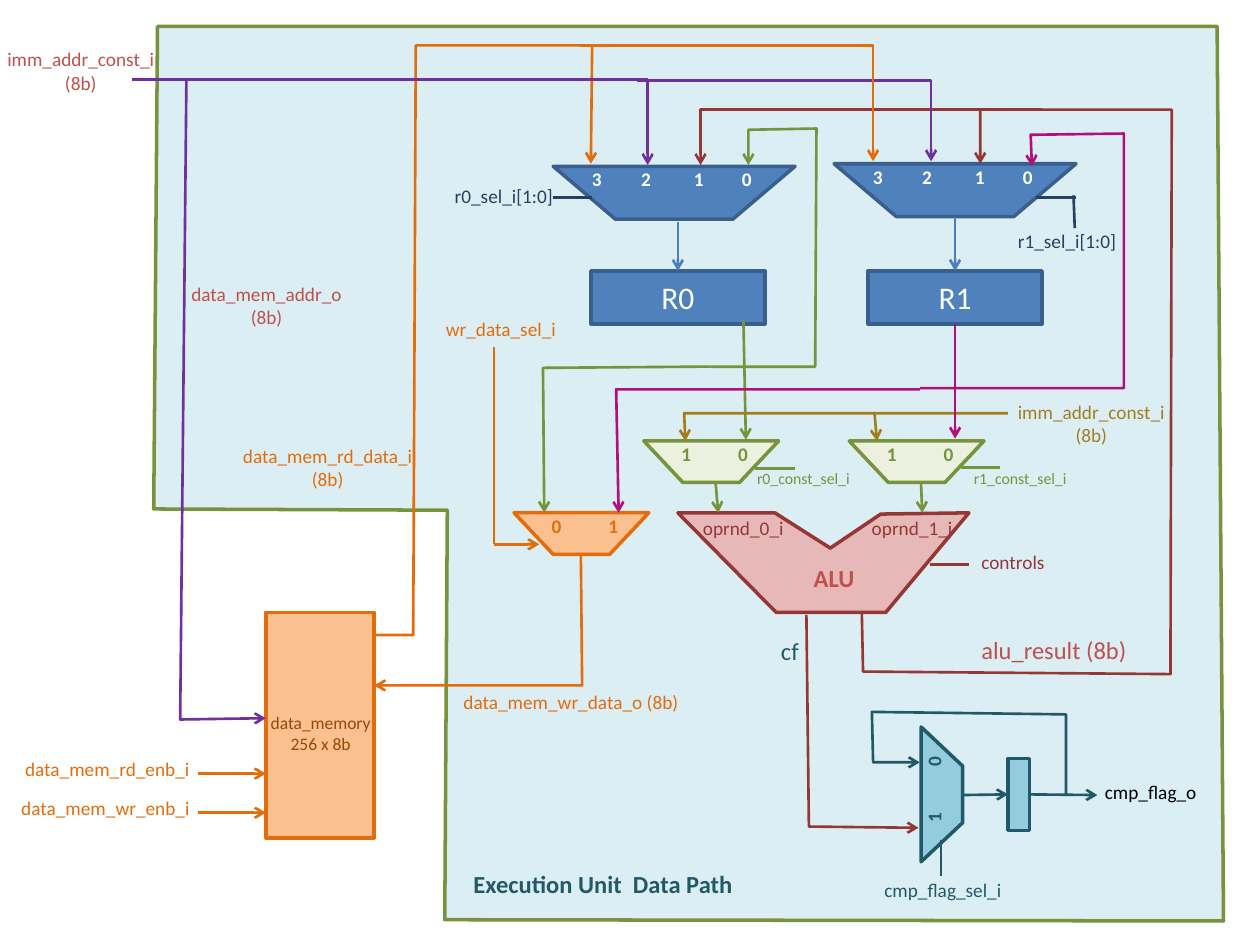
"""Build the execution unit data path slide."""
from dataclasses import dataclass
from lxml.etree import SubElement
from pptx import Presentation
from pptx.dml.color import RGBColor
from pptx.enum.shapes import MSO_CONNECTOR, MSO_SHAPE
from pptx.enum.text import MSO_ANCHOR, MSO_AUTO_SIZE, PP_ALIGN
from pptx.oxml.ns import qn
from pptx.util import Pt

PX = 9144


@dataclass(frozen=True)
class Theme:
    font: str = "Calibri"
    small: int = 9
    note: int = 10
    body: int = 11
    title: int = 14
    register: int = 18
    outline: float = 2
    wire: float = 1.5
    white: str = "FFFFFF"
    black: str = "000000"
    sky: str = "DBEEF4"
    blue: str = "4F81BD"
    blue_edge: str = "3A5F8C"
    blue_wire: str = "4B7EBC"
    navy: str = "254061"
    green: str = "77933C"
    pale_green: str = "EBF1DE"
    orange: str = "E46C0A"
    pale_orange: str = "FAC090"
    brown: str = "984807"
    red: str = "C0504D"
    dark_red: str = "953735"
    pink: str = "E6B9B8"
    magenta: str = "B40E79"
    purple: str = "7030A0"
    gold: str = "A47E1E"
    teal: str = "215968"
    aqua: str = "93CDDD"


T = Theme()

OUTLINES = [
    (T.sky, T.green, [(182, 21), (966, 21), (971, 731), (353, 730), (355, 405), (122, 404), (125, 21)]),
    (T.pink, T.dark_red, [(538, 407), (615, 407), (659, 435), (699, 408), (769, 407), (703, 486), (616, 486)]),
]
BLOCKS = {
    "R0": ((469, 215, 138, 42), T.blue, T.blue_edge, "R0"),
    "R1": ((689, 215, 138, 42), T.blue, T.blue_edge, "R1"),
    "memory": ((211, 486, 86, 179), T.pale_orange, T.orange, ""),
    "flag": ((800, 602, 17, 57), T.aqua, T.teal, ""),
}
WIDE = dict(size=(192, 42), adj=1.178, text_at=(21, -4), text_w=150, tabs=(39, 81, 119))
NARROW = dict(size=(107, 33), adj=0.941, text_at=(20, -4), text_w=75, tabs=(45,))
MUXES = [
    (WIDE, (439, 132), "3210", T.blue, T.blue_edge, T.white, 0),
    (WIDE, (662, 130), "3210", T.blue, T.blue_edge, T.white, 0),
    (NARROW, (408, 407), "01", T.pale_orange, T.orange, T.orange, 0),
    (NARROW, (511, 350), "10", T.pale_green, T.green, T.green, 0),
    (NARROW, (674, 350), "10", T.pale_green, T.green, T.green, 0),
    (NARROW, (694, 614), "10", T.aqua, T.teal, T.teal, 270),
]
ARROWS = [
    (T.green, [(590, 254), (592, 349)]),
    (T.dark_red, [(827, 87), (556, 87), (556, 131)]),
    (T.purple, [(506, 64), (739, 64), (739, 128)]),
    (T.orange, [(460, 36), (693, 36), (693, 128)]),
    (T.dark_red, [(684, 486), (685, 533), (929, 535), (930, 87), (778, 87), (778, 130)]),
    (T.green, [(564, 291), (647, 291), (648, 102), (594, 103), (594, 131)]),
    (T.magenta, [(730, 308), (892, 308), (892, 106), (818, 107), (819, 132)]),
    (T.orange, [(157, 614), (211, 614)]),
    (T.orange, [(157, 645), (211, 645)]),
    (T.orange, [(297, 504), (328, 504), (330, 36), (470, 36), (469, 130)]),
    (T.green, [(564, 291), (431, 292), (432, 407)]),
    (T.magenta, [(730, 309), (489, 309), (491, 407)]),
    (T.orange, [(461, 440), (462, 544), (297, 544)]),
    (T.teal, [(846, 630), (846, 567), (692, 565), (693, 605), (730, 605)]),
    (T.dark_red, [(640, 488), (642, 656), (729, 657)]),
    (T.purple, [(105, 63), (514, 63), (514, 131)]),
    (T.purple, [(148, 62), (143, 571), (211, 570)]),
    (T.orange, [(392, 432), (428, 432)]),
    (T.green, [(568, 384), (570, 407)]),
    (T.green, [(731, 384), (732, 407)]),
    (T.gold, [(800, 328), (543, 328), (544, 350)]),
    (T.gold, [(694, 327), (696, 350)]),
]
JOINED_ARROWS = [
    (T.blue_wire, [(538, 176), (538, 215)], None, ("R0", 0)),
    (T.blue_wire, [(758, 172), (758, 215)], None, ("R1", 0)),
    (T.magenta, [(758, 257), (758, 348)], ("R1", 2), None),
    (T.teal, [(764, 631), (800, 631)], None, ("flag", 1)),
    (T.teal, [(817, 631), (871, 631)], ("flag", 3), None),
]
STUBS = [
    (T.orange, [(392, 432), (392, 275)]),
    (T.teal, [(747, 667), (747, 695)]),
    (T.navy, [(470, 157), (439, 157)]),
    (T.navy, [(854, 157), (822, 157)]),
    (T.navy, [(852, 155), (853, 181)]),
    (T.dark_red, [(769, 448), (738, 448)]),
    (T.green, [(631, 372), (599, 372)]),
    (T.green, [(794, 371), (763, 371)]),
]
LABELS = [
    (["data_memory", "256 x 8b"], (205, 560, 101, 44), T.note, T.brown, False),
    (["cmp_flag_o"], (867, 614, 93, 29), T.body, T.black, False),
    (["alu_result (8b)"], (769, 499, 137, 34), T.title, T.red, False),
    (["data_mem_rd_data_i", "(8b)"], (183, 348, 160, 47), T.body, T.orange, False),
    (["data_mem_rd_enb_i"], (10, 596, 152, 29), T.body, T.orange, False),
    (["data_mem_wr_enb_i"], (7, 627, 155, 29), T.body, T.orange, False),
    (["data_mem_wr_data_o (8b)"], (358, 543, 193, 29), T.body, T.orange, False),
    (["cf"], (610, 500, 34, 34), T.title, T.teal, False),
    (["Execution Unit  Data Path"], (366, 685, 227, 34), T.title, T.teal, True),
    (["imm_addr_const_i", "(8b)"], (-4, 33, 137, 47), T.body, T.red, False),
    (["data_mem_addr_o", "(8b)"], (142, 219, 147, 47), T.body, T.red, False),
    (["ALU"], (636, 442, 53, 34), T.title, T.red, True),
    (["wr_data_sel_i"], (344, 247, 108, 29), T.body, T.orange, False),
    (["cmp_flag_sel_i"], (692, 692, 114, 29), T.body, T.teal, False),
    (["r0_sel_i[1:0]"], (351, 141, 99, 29), T.body, T.navy, False),
    (["r1_sel_i[1:0]"], (798, 177, 99, 29), T.body, T.navy, False),
    (["controls"], (769, 432, 71, 29), T.body, T.dark_red, False),
    (["imm_addr_const_i", "(8b)"], (798, 313, 137, 47), T.body, T.gold, False),
    (["r0_const_sel_i"], (591, 367, 95, 25), T.small, T.green, False),
    (["r1_const_sel_i"], (763, 367, 95, 25), T.small, T.green, False),
    (["oprnd_0_i"], (548, 405, 85, 29), T.body, T.dark_red, False),
    (["oprnd_1_i"], (682, 405, 85, 29), T.body, T.dark_red, False),
]


def emu(values):
    return [round(v * PX) for v in values]


def style(s, fill, edge, width=T.outline):
    s.shadow.inherit = False
    if fill:
        s.fill.solid()
        s.fill.fore_color.rgb = RGBColor.from_string(fill)
    else:
        s.fill.background()
    s.line.color.rgb = RGBColor.from_string(edge)
    s.line.width = Pt(width)


def add_run(p, text, size, color, bold=False):
    r = p.add_run()
    r.text = text
    r.font.name, r.font.size, r.font.bold = T.font, Pt(size), bold
    r.font.color.rgb = RGBColor.from_string(color)


def add_label(shapes, lines, box, size, color, bold):
    s = shapes.add_textbox(*emu(box))
    tf = s.text_frame
    tf.word_wrap, tf.auto_size = False, MSO_AUTO_SIZE.SHAPE_TO_FIT_TEXT
    for i, line in enumerate(lines):
        p = tf.add_paragraph() if i else tf.paragraphs[0]
        p.alignment = PP_ALIGN.CENTER if i else PP_ALIGN.LEFT
        add_run(p, line, size, color, bold)
    return s


def add_path(shapes, points, closed):
    start, *rest = [emu(pt) for pt in points]
    fb = shapes.build_freeform(*start)
    fb.add_line_segments(rest, close=closed)
    return fb.convert_to_shape()


def add_block(shapes, box, fill, edge, name):
    s = shapes.add_shape(MSO_SHAPE.RECTANGLE, *emu(box))
    style(s, fill, edge)
    if name:
        s.text_frame.vertical_anchor = MSO_ANCHOR.MIDDLE
        p = s.text_frame.paragraphs[0]
        p.alignment = PP_ALIGN.CENTER
        add_run(p, name, T.register, T.white)
    return s


def add_mux(shapes, kind, at, inputs, fill, edge, color, turn):
    group = shapes.add_group_shape().shapes
    s = group.add_shape(MSO_SHAPE.TRAPEZOID, *emu(at + kind["size"]))
    s.adjustments[0] = kind["adj"]
    s.element.spPr.find(qn("a:xfrm")).set("flipV", "1")
    style(s, fill, edge)
    dx, dy = (10, -3) if turn else kind["text_at"]
    box = (at[0] + dx, at[1] + dy, kind["text_w"], 29)
    label = add_label(group, ["\t".join(inputs)], box, T.body, color, True)
    s.rotation = label.rotation = turn
    label.text_frame.word_wrap = True
    label.text_frame.margin_right = 0
    tabs = SubElement(label.text_frame.paragraphs[0]._p.get_or_add_pPr(), qn("a:tabLst"))
    for pos in emu(kind["tabs"]):
        SubElement(tabs, qn("a:tab"), pos=str(pos), algn="l")


def add_wire(shapes, color, points, arrow=True):
    if len(points) == 2:
        s = shapes.add_connector(MSO_CONNECTOR.STRAIGHT, *emu(points[0] + points[1]))
        s.line.color.rgb = RGBColor.from_string(color)
        s.line.width = Pt(T.wire)
        SubElement(s.element.spPr, qn("a:effectLst"))
    else:
        s = add_path(shapes, points, False)
        style(s, None, color, T.wire)
    if arrow:
        SubElement(s.line._get_or_add_ln(), qn("a:tailEnd"), type="arrow")
    return s


def main():
    prs = Presentation()
    prs.slide_width, prs.slide_height = emu((1000, 750))
    shapes = prs.slides.add_slide(prs.slide_layouts[6]).shapes
    for fill, edge, points in OUTLINES:
        style(add_path(shapes, points, True), fill, edge)
    blocks = {key: add_block(shapes, *block) for key, block in BLOCKS.items()}
    for mux in MUXES:
        add_mux(shapes, *mux)
    for wire in ARROWS:
        add_wire(shapes, *wire)
    for color, points, begin, end in JOINED_ARROWS:
        s = add_wire(shapes, color, points)
        for join, connect in ((begin, s.begin_connect), (end, s.end_connect)):
            if join:
                connect(blocks[join[0]], join[1])
    for stub in STUBS:
        add_wire(shapes, *stub, arrow=False)
    for label in LABELS:
        add_label(shapes, *label)
    prs.save("out.pptx")


if __name__ == "__main__":
    main()
